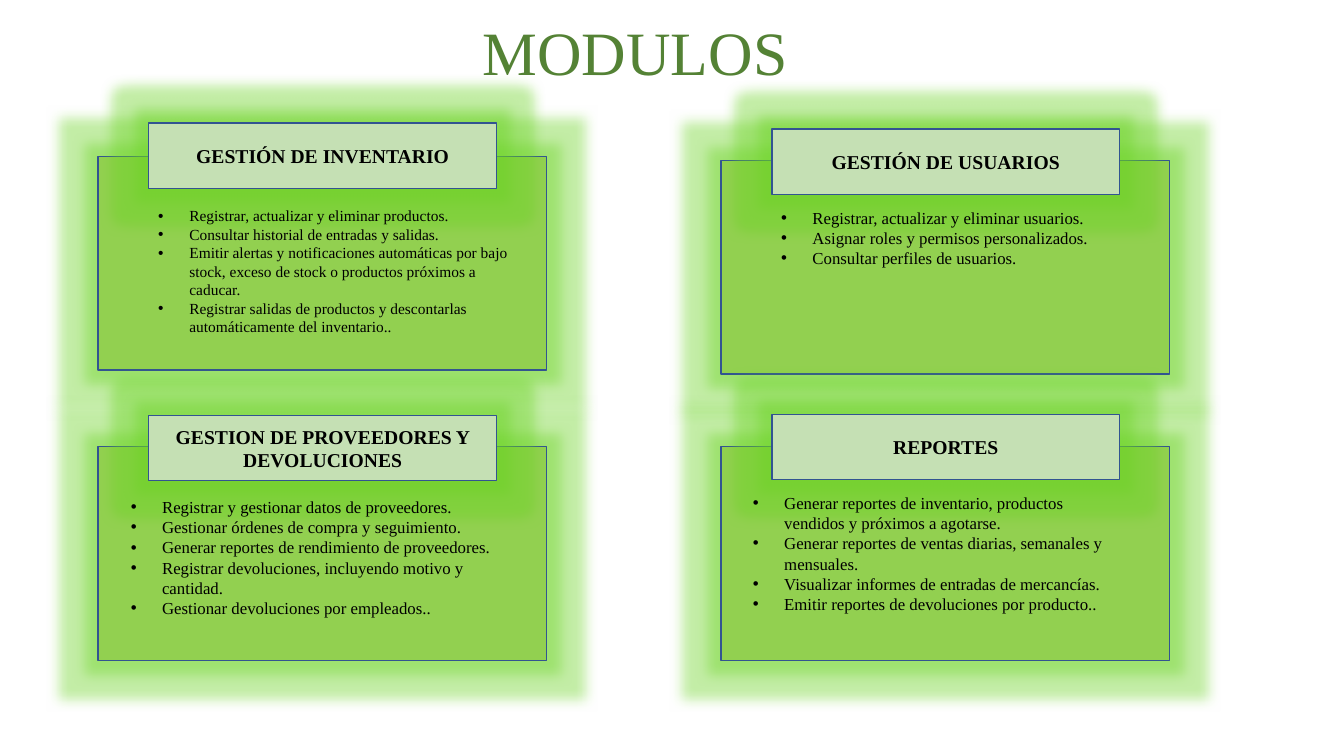
from lxml.etree import SubElement
from pptx import Presentation
from pptx.dml.color import RGBColor
from pptx.enum.shapes import MSO_SHAPE
from pptx.enum.text import MSO_ANCHOR, PP_ALIGN
from pptx.oxml.ns import qn
from pptx.util import Inches, Pt

WIDTH, HEIGHT = Inches(13.33), Inches(7.5)
FONT = "Times New Roman"
COLUMNS = (7.28, 53.64)
CARD_SIZE = (33.38, 28.27)
HEADER_SIZE = (25.88, 8.67)
HEADER_INDENT = 3.79

MODULES = [
    {
        "column": 0, "card_top": 20.67, "header_top": 16.27,
        "heading": "GESTIÓN DE INVENTARIO",
        "list_box": (11.03, 26.67, 29.18, 18.67), "size": 11,
        "tasks": [
            "Registrar, actualizar y eliminar productos.",
            "Consultar historial de entradas y salidas.",
            "Emitir alertas y notificaciones automáticas por bajo stock, "
            "exceso de stock o productos próximos a caducar.",
            "Registrar salidas de productos y descontarlas "
            "automáticamente del inventario..",
        ],
    },
    {
        "column": 1, "card_top": 21.2, "header_top": 17.07,
        "heading": "GESTIÓN DE USUARIOS",
        "list_box": (57.39, 26.8, 25.88, 9.47), "size": 12,
        "tasks": [
            "Registrar, actualizar y eliminar usuarios.",
            "Asignar roles y permisos personalizados.",
            "Consultar perfiles de usuarios.",
        ],
    },
    {
        "column": 0, "card_top": 59.07, "header_top": 54.93,
        "heading": "GESTION DE PROVEEDORES Y DEVOLUCIONES",
        "list_box": (9, 65.07, 29.18, 17.47), "size": 12,
        "tasks": [
            "Registrar y gestionar datos de proveedores.",
            "Gestionar órdenes de compra y seguimiento.",
            "Generar reportes de rendimiento de proveedores.",
            "Registrar devoluciones, incluyendo motivo y cantidad.",
            "Gestionar devoluciones por empleados..",
        ],
    },
    {
        "column": 1, "card_top": 59.07, "header_top": 54.8,
        "heading": "REPORTES",
        "list_box": (55.29, 64.53, 28.88, 17.47), "size": 12,
        "tasks": [
            "Generar reportes de inventario, productos vendidos "
            "y próximos a agotarse.",
            "Generar reportes de ventas diarias, semanales y mensuales.",
            "Visualizar informes de entradas de mercancías.",
            "Emitir reportes de devoluciones por producto..",
        ],
    },
]


def color(value):
    return RGBColor.from_string(value)


def percent(left, top, width, height):
    return (int(WIDTH * left / 100), int(HEIGHT * top / 100),
            int(WIDTH * width / 100), int(HEIGHT * height / 100))


def add_run(paragraph, text, size, hue="000000", bold=False):
    run = paragraph.add_run()
    run.text = text
    run.font.name = FONT
    run.font.size = Pt(size)
    run.font.bold = bold
    run.font.color.rgb = color(hue)


def add_glow(panel):
    panel.shadow.inherit = False
    effects = panel._element.spPr.find(qn("a:effectLst"))
    glow = SubElement(effects, qn("a:glow"), rad=str(Pt(18)))
    tint = SubElement(glow, qn("a:srgbClr"), val="69D321")
    SubElement(tint, qn("a:alpha"), val="40000")


def add_panel(group, box, fill):
    panel = group.shapes.add_shape(MSO_SHAPE.RECTANGLE, *percent(*box))
    panel.fill.solid()
    panel.fill.fore_color.rgb = color(fill)
    panel.line.color.rgb = color("325491")
    panel.line.width = Pt(1)
    add_glow(panel)
    return panel


def add_text_frame(slide, box):
    frame = slide.shapes.add_textbox(*percent(*box)).text_frame
    frame.word_wrap = True
    return frame


def add_title(slide, text):
    frame = add_text_frame(slide, (13.65, 2, 67.22, 10.4))
    frame.vertical_anchor = MSO_ANCHOR.BOTTOM
    title = frame.paragraphs[0]
    title.alignment = PP_ALIGN.CENTER
    title.line_spacing = 0.9
    add_run(title, text, 44, "548235")


def add_bullet(paragraph):
    properties = paragraph._p.get_or_add_pPr()
    properties.set("marL", str(Inches(0.31)))
    properties.set("indent", str(-Inches(0.31)))
    SubElement(properties, qn("a:buFont"), typeface="Arial")
    SubElement(properties, qn("a:buChar"), char="•")


def add_tasks(slide, box, tasks, size):
    frame = add_text_frame(slide, box)
    for position, task in enumerate(tasks):
        paragraph = frame.add_paragraph() if position else frame.paragraphs[0]
        add_bullet(paragraph)
        add_run(paragraph, task, size)


def add_module(slide, module):
    left = COLUMNS[module["column"]]
    group = slide.shapes.add_group_shape()
    add_panel(group, (left, module["card_top"], *CARD_SIZE), "92D050")
    header = add_panel(
        group, (left + HEADER_INDENT, module["header_top"], *HEADER_SIZE), "C5E0B4")
    header.text_frame.word_wrap = True
    header.text_frame.vertical_anchor = MSO_ANCHOR.MIDDLE
    heading = header.text_frame.paragraphs[0]
    heading.alignment = PP_ALIGN.CENTER
    add_run(heading, module["heading"], 14, bold=True)
    add_tasks(slide, module["list_box"], module["tasks"], module["size"])


def main():
    presentation = Presentation()
    presentation.slide_width, presentation.slide_height = WIDTH, HEIGHT
    slide = presentation.slides.add_slide(presentation.slide_layouts[6])
    add_title(slide, "MODULOS")
    for module in MODULES:
        add_module(slide, module)
    presentation.save("out.pptx")


if __name__ == "__main__":
    main()
